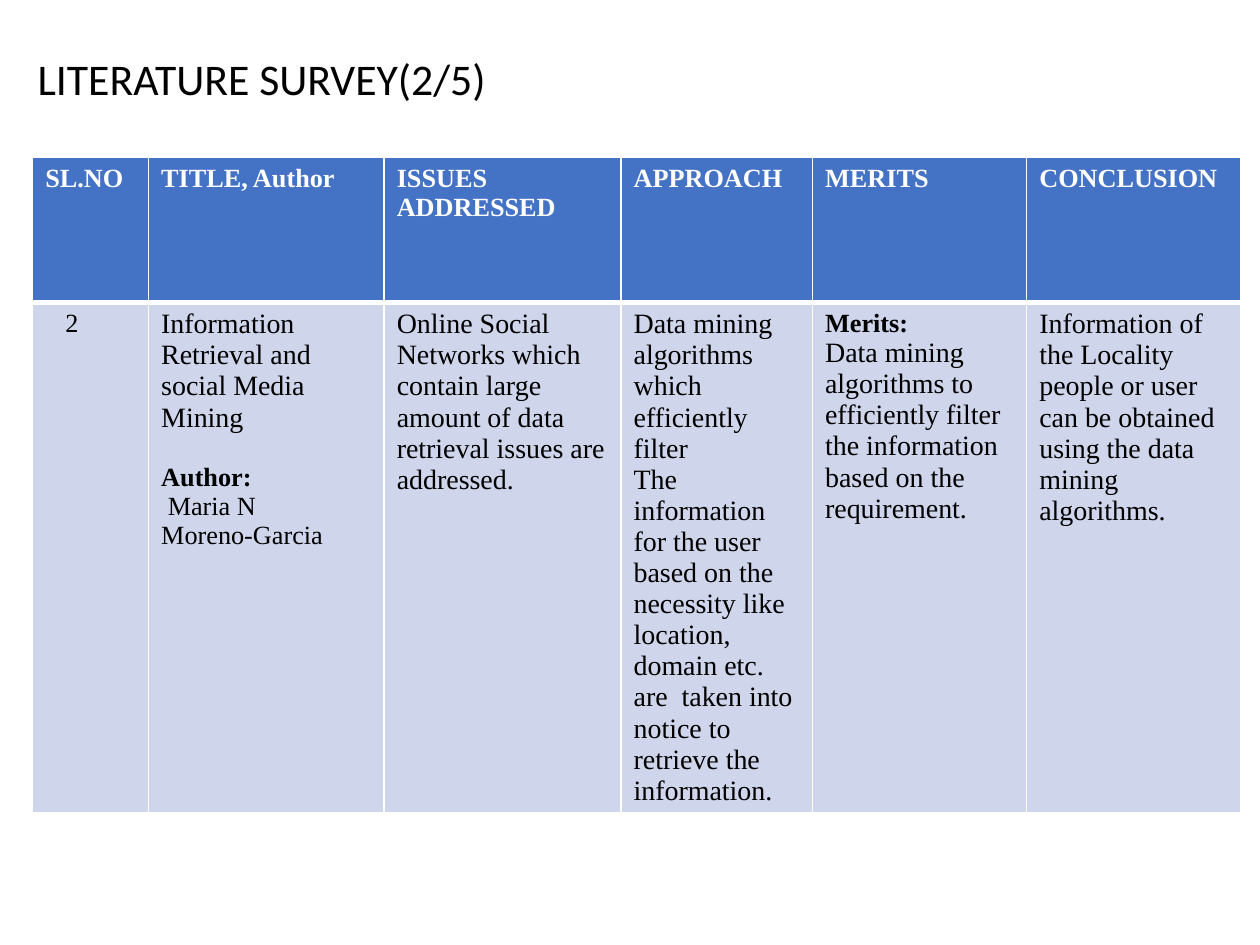
"""Build the literature survey slide with its table."""
from dataclasses import dataclass

from lxml import etree
from pptx import Presentation
from pptx.dml.color import RGBColor
from pptx.oxml.ns import qn
from pptx.util import Inches, Pt

COLORS = {"header": "4472C4", "body": "CFD5EA", "white": "FFFFFF", "black": "000000"}
TABLE_FONT = "Times New Roman"


@dataclass(frozen=True)
class Line:
    text: str
    size: float = 16
    bold: bool = False
    before: float = 0
    indent: float = 0


@dataclass(frozen=True)
class Column:
    heading: str
    width: float
    lines: tuple[Line, ...]


COLUMNS = (
    Column("SL.NO", 0.92, (Line("2", 15, indent=0.16),)),
    Column("TITLE, Author", 1.87, (
        Line("Information Retrieval and social Media Mining"),
        Line("Author:", 15, True, before=17),
        Line(" Maria N", 15),
        Line("Moreno-Garcia", 15),
    )),
    Column("ISSUES ADDRESSED", 1.88, (
        Line("Online Social Networks which contain large amount of data "
             "retrieval issues are addressed."),
    )),
    Column("APPROACH", 1.52, (
        Line("Data mining algorithms which efficiently filter"),
        Line("The information for the user based on the necessity like location, "
             "domain etc. are  taken into notice to retrieve the information."),
    )),
    Column("MERITS", 1.7, (
        Line("Merits:", 15, True),
        Line("Data mining algorithms to efficiently filter the information "
             "based on the requirement."),
    )),
    Column("CONCLUSION", 1.7, (
        Line("Information of the Locality people or user can be obtained "
             "using the data mining algorithms."),
    )),
)
ROW_HEIGHTS = (1.15, 3.79)


def write_lines(frame, lines: tuple[Line, ...], font: str, color: str) -> None:
    """Write one paragraph per line into a text frame."""
    for index, line in enumerate(lines):
        paragraph = frame.add_paragraph() if index else frame.paragraphs[0]
        if line.before:
            paragraph.space_before = Pt(line.before)
        if line.indent:
            paragraph._p.get_or_add_pPr().set("marL", str(Inches(line.indent)))
        run = paragraph.add_run()
        run.text = line.text
        run.font.name = font
        run.font.size = Pt(line.size)
        run.font.bold = line.bold
        run.font.color.rgb = RGBColor.from_string(COLORS[color])


def set_borders(cell, bottom: float) -> None:
    """Give a cell white borders, with its own bottom width."""
    properties = cell._tc.get_or_add_tcPr()
    for index, (side, width) in enumerate(zip("LRTB", (1, 1, 1, bottom))):
        border = etree.Element(qn(f"a:ln{side}"), w=str(Pt(width)))
        fill = etree.SubElement(border, qn("a:solidFill"))
        etree.SubElement(fill, qn("a:srgbClr"), val=COLORS["white"])
        properties.insert(index, border)


def fill_cell(cell, lines: tuple[Line, ...], fill: str, color: str, bottom: float) -> None:
    """Set the fill, text and borders of a table cell."""
    cell.fill.solid()
    cell.fill.fore_color.rgb = RGBColor.from_string(COLORS[fill])
    write_lines(cell.text_frame, lines, TABLE_FONT, color)
    set_borders(cell, bottom)


def add_survey_table(slide) -> None:
    """Add the survey table with a header row and one entry."""
    width = sum(column.width for column in COLUMNS)
    table = slide.shapes.add_table(
        len(ROW_HEIGHTS), len(COLUMNS), Inches(0.26), Inches(1.25),
        Inches(width), Inches(sum(ROW_HEIGHTS))).table
    for row, height in zip(table.rows, ROW_HEIGHTS):
        row.height = Inches(height)
    for index, column in enumerate(COLUMNS):
        table.columns[index].width = Inches(column.width)
        heading = (Line(column.heading, 15, True),)
        fill_cell(table.cell(0, index), heading, "header", "white", 3)
        fill_cell(table.cell(1, index), column.lines, "body", "black", 1)


def add_title(slide) -> None:
    """Add the slide heading."""
    box = slide.shapes.add_textbox(Inches(0.2), Inches(0.36), Inches(8.58), Inches(0.52))
    box.text_frame.word_wrap = True
    write_lines(box.text_frame, (Line("LITERATURE SURVEY(2/5)", 25),), "Calibri", "black")


def main() -> None:
    """Create and save the presentation."""
    presentation = Presentation()
    presentation.slide_width = Inches(10)
    presentation.slide_height = Inches(7.5)
    slide = presentation.slides.add_slide(presentation.slide_layouts[6])
    add_survey_table(slide)
    add_title(slide)
    presentation.save("out.pptx")


main()
